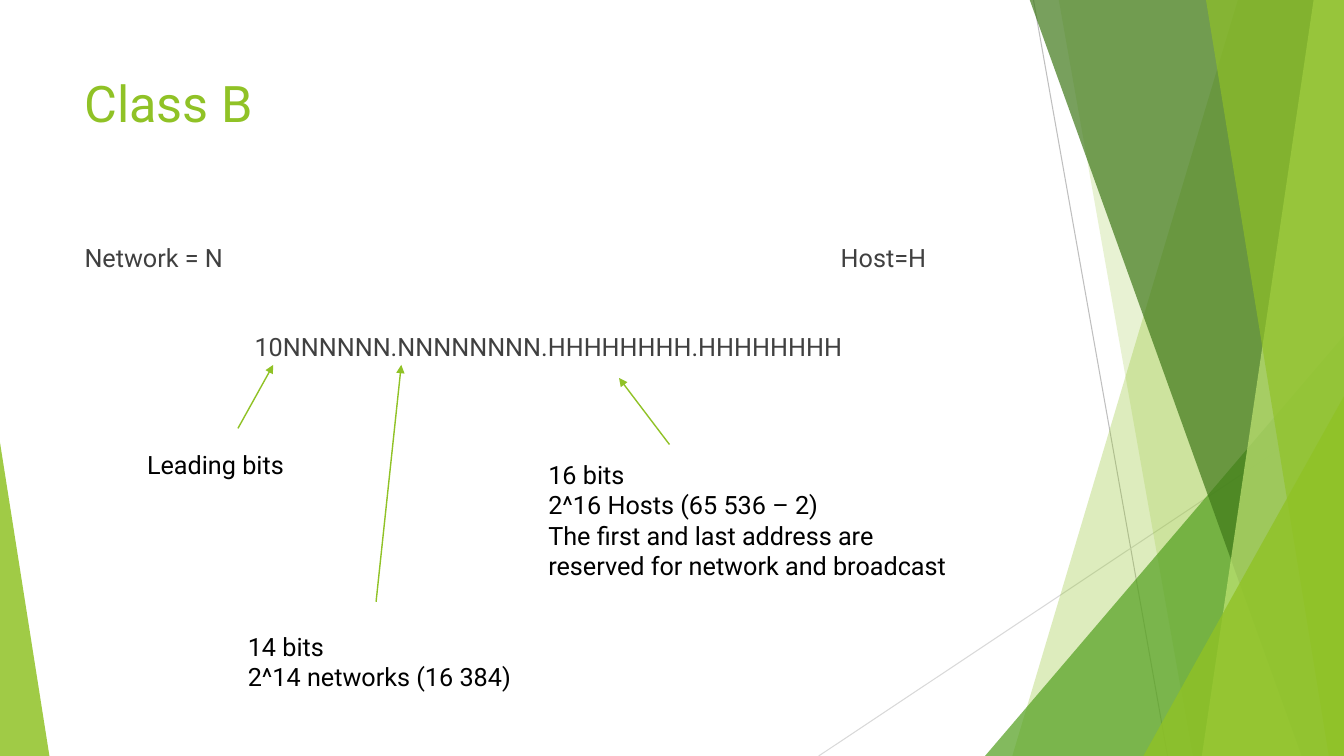
from dataclasses import dataclass

from lxml import etree
from pptx import Presentation
from pptx.dml.color import RGBColor
from pptx.enum.shapes import MSO_CONNECTOR, MSO_SHAPE
from pptx.enum.text import MSO_ANCHOR, MSO_AUTO_SIZE, PP_ALIGN
from pptx.oxml.ns import qn
from pptx.util import Inches, Pt

STRAIGHT = MSO_CONNECTOR.STRAIGHT
TRIANGLE = MSO_SHAPE.ISOSCELES_TRIANGLE
TOP = MSO_ANCHOR.TOP
GROW = MSO_AUTO_SIZE.SHAPE_TO_FIT_TEXT
FIXED = MSO_AUTO_SIZE.NONE
LEFT = PP_ALIGN.LEFT
CENTER = PP_ALIGN.CENTER

WIDTH, HEIGHT = 13.33, 7.5
FACET_TOP = -0.01
GREEN = "90C226"
FONT = "Roboto"


@dataclass
class Facet:
    top_left: float
    bottom_left: float
    color: str
    opacity: int


@dataclass
class Corner:
    left: float
    top: float
    width: float
    apex: float
    color: str
    opacity: int


@dataclass
class Line:
    start: tuple[float, float]
    end: tuple[float, float]
    color: str = GREEN
    weight: float = 1
    arrow: bool = True


@dataclass
class Label:
    left: float
    top: float
    width: float
    height: float
    lines: list[str]
    size: int = 18
    color: str = "000000"
    auto_size: MSO_AUTO_SIZE = GROW


BACKGROUND_LINES = [
    Line((10.25, 0), (11.58, HEIGHT), "BFBFBF", 0.75, False),
    Line((WIDTH, 4.03), (8.12, HEIGHT), "D9D9D9", 0.75, False),
]
DECORATION = [
    Facet(12.28, 10.04, GREEN, 30),
    Facet(10.5, 11.83, GREEN, 20),
    Corner(9.77, 3.33, 3.56, 1, "54A021", 72),
    Facet(10.21, 12.91, "3F7819", 70),
    Facet(13.03, 11.92, "C0E474", 70),
    Facet(11.96, 13.18, GREEN, 65),
    Corner(11.34, 3.93, 1.99, 1, GREEN, 80),
    Corner(0, 4.39, 0.49, 0, GREEN, 85),
]
TITLE = Label(0.74, 0.67, 9.4, 1.44, ["Class B"], 36, GREEN, FIXED)
ADDRESS = Label(0.74, 2.36, 9.4, 1.47,
                ["Network = N\tHost=H", "10NNNNNN.NNNNNNNN.HHHHHHHH.HHHHHHHH"],
                color="404040", auto_size=FIXED)
HOST_TAB = 7.5
ADDRESS_GAP = 41.7
NOTES = [
    (Line((2.36, 4.25), (2.71, 3.62)),
     Label(1.36, 4.41, 1.95, 0.4, ["Leading bits"])),
    (Line((3.73, 5.97), (3.98, 3.62)),
     Label(2.36, 6.21, 3.94, 0.71, ["14 bits", "2^14 networks (16 384)"])),
    (Line((6.64, 4.41), (6.14, 3.75)),
     Label(5.34, 4.51, 4.43, 1.31, [
         "16 bits",
         "2^16 Hosts (65 536 – 2)",
         "The first and last address are reserved for network and broadcast",
     ])),
]


def rgb(color: str) -> RGBColor:
    return RGBColor.from_string(color)


def apply_format(target, values: dict) -> None:
    for name, value in values.items():
        setattr(target, name, value)


def paint(shape, color: str, opacity: int) -> None:
    shape.shadow.inherit = False
    shape.line.fill.background()
    shape.fill.solid()
    shape.fill.fore_color.rgb = rgb(color)
    color_node = shape.fill._xPr.find(qn("a:solidFill"))[0]
    etree.SubElement(color_node, qn("a:alpha"), val=str(opacity * 1000))


def draw_facet(page, facet: Facet) -> None:
    builder = page.shapes.build_freeform(Inches(facet.top_left), Inches(FACET_TOP))
    corners = [(WIDTH, FACET_TOP), (WIDTH, HEIGHT), (facet.bottom_left, HEIGHT)]
    builder.add_line_segments([(Inches(x), Inches(y)) for x, y in corners])
    paint(builder.convert_to_shape(), facet.color, facet.opacity)


def draw_corner(page, corner: Corner) -> None:
    shape = page.shapes.add_shape(
        TRIANGLE, Inches(corner.left), Inches(corner.top),
        Inches(corner.width), Inches(HEIGHT - corner.top))
    shape.adjustments[0] = corner.apex
    paint(shape, corner.color, corner.opacity)


def draw_line(page, line: Line) -> None:
    ends = [Inches(value) for value in (*line.start, *line.end)]
    connector = page.shapes.add_connector(STRAIGHT, *ends)
    connector.line.width = Pt(line.weight)
    connector.line.color.rgb = rgb(line.color)
    if line.arrow:
        etree.SubElement(connector.line._get_or_add_ln(), qn("a:tailEnd"), type="triangle")
    etree.SubElement(connector._element.spPr, qn("a:effectLst"))


def draw_label(page, label: Label):
    box = page.shapes.add_textbox(
        Inches(label.left), Inches(label.top), Inches(label.width), Inches(label.height))
    frame = box.text_frame
    apply_format(frame, {"word_wrap": True, "auto_size": label.auto_size,
                         "vertical_anchor": TOP})
    for index, text in enumerate(label.lines):
        para = frame.paragraphs[0] if index == 0 else frame.add_paragraph()
        para.alignment = LEFT
        span = para.add_run()
        span.text = text
        apply_format(span.font, {"name": FONT, "size": Pt(label.size)})
        span.font.color.rgb = rgb(label.color)
    return frame


def draw_address(page) -> None:
    heading, pattern = draw_label(page, ADDRESS).paragraphs
    tabs = etree.SubElement(heading._p.get_or_add_pPr(), qn("a:tabLst"))
    etree.SubElement(tabs, qn("a:tab"), pos=str(Inches(HOST_TAB)), algn="l")
    apply_format(pattern, {"alignment": CENTER, "space_before": Pt(ADDRESS_GAP)})


def main() -> None:
    deck = Presentation()
    apply_format(deck, {"slide_width": Inches(WIDTH), "slide_height": Inches(HEIGHT)})
    page = deck.slides.add_slide(deck.slide_layouts[6])
    for line in BACKGROUND_LINES:
        draw_line(page, line)
    for part in DECORATION:
        if isinstance(part, Facet):
            draw_facet(page, part)
        else:
            draw_corner(page, part)
    draw_label(page, TITLE)
    draw_address(page)
    for arrow, label in NOTES:
        draw_line(page, arrow)
        draw_label(page, label)
    deck.save("out.pptx")


if __name__ == "__main__":
    main()
